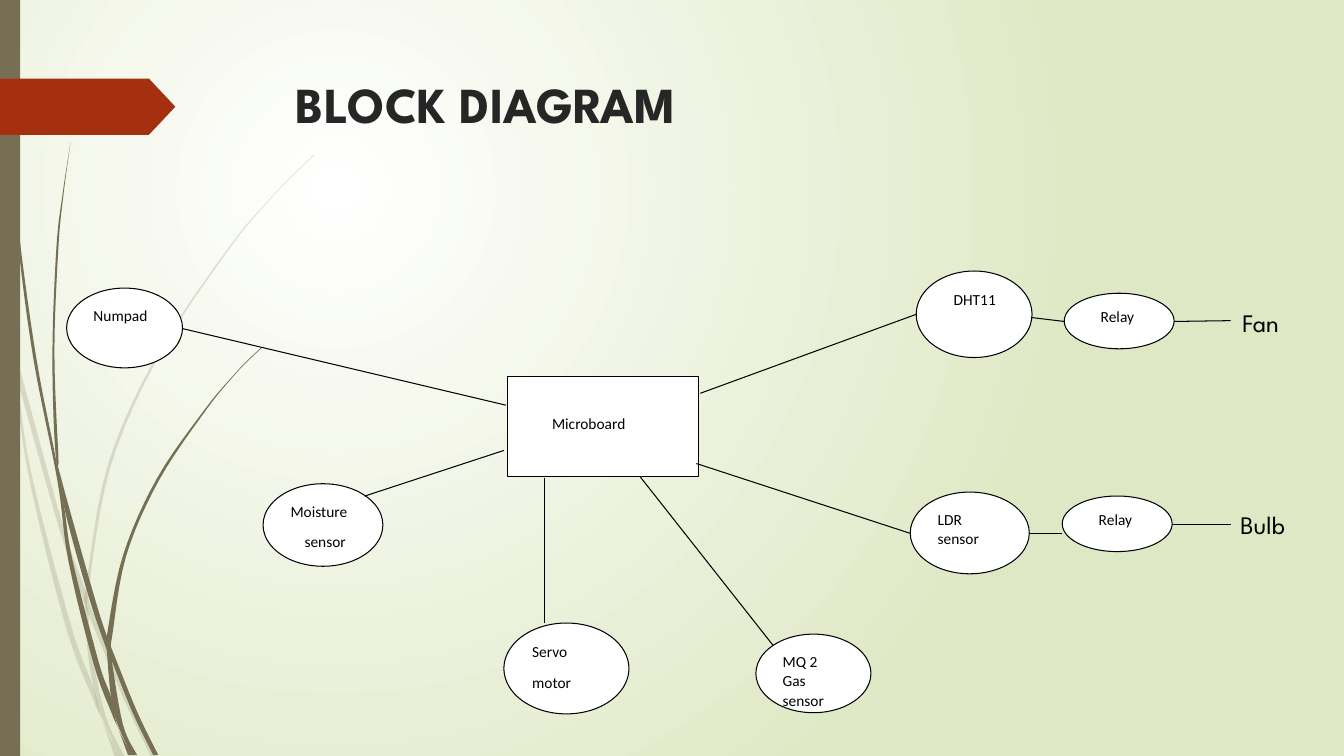
from lxml import etree
from pptx import Presentation
from pptx.dml.color import RGBColor
from pptx.enum.shapes import MSO_CONNECTOR, MSO_SHAPE
from pptx.enum.text import MSO_ANCHOR
from pptx.oxml.ns import qn
from pptx.util import Cm, Pt

RECT, OVAL, PENTAGON = MSO_SHAPE.RECTANGLE, MSO_SHAPE.OVAL, MSO_SHAPE.PENTAGON
STRAIGHT, TOP = MSO_CONNECTOR.STRAIGHT, MSO_ANCHOR.TOP

THEME = {
    "olive": "766F54", "red": "A53010", "white": "FFFFFF", "green": "DFE8C4",
    "black": "000000", "title": "262626",
    "head": "League Spartan", "body": "Calibri",
    "title_pt": 36, "label_pt": 18, "node_pt": 11, "line_pt": 0.75,
}
SLIDE = (33.87, 19.05)
TITLE = ("BLOCK DIAGRAM", (7.21, 1.73, 24.77, 3.56))

NODES = [
    (OVAL, (1.68, 7.26, 2.92, 2.01), [("Numpad", 0)]),
    (OVAL, (12.7, 15.7, 3.15, 2.29), [("Servo", 0), ("motor", 0)]),
    (OVAL, (6.63, 12.19, 3.02, 2.08), [("Moisture", 0), ("sensor", 10)]),
    (RECT, (12.78, 9.5, 4.83, 2.51), [("Microboard", 25)]),
    (OVAL, (26.77, 12.5, 2.77, 1.4), [("Relay", 7.5)]),
    (OVAL, (22.94, 12.4, 3, 2.06), [("LDR sensor", 0)]),
    (OVAL, (23.09, 6.83, 2.92, 2.18), [("DHT11", 7.5)]),
    (OVAL, (19.05, 15.98, 2.9, 1.98), [("MQ 2 Gas sensor", 0)]),
    (OVAL, (26.82, 7.39, 2.77, 1.4), [("Relay", 7.5)]),
]
LINKS = [
    (4.6, 8.28, 12.75, 10.21),
    (9.19, 12.5, 12.7, 11.35),
    (13.72, 12.04, 13.72, 15.7),
    (16.13, 12.01, 19.48, 16.26),
    (17.65, 9.91, 23.09, 7.92),
    (25.98, 8, 26.82, 8.1),
    (17.55, 11.68, 22.94, 13.44),
    (25.93, 13.44, 26.77, 13.44),
    (29.59, 8.1, 31.01, 8.08),
    (29.54, 13.21, 31.01, 13.21),
]
OUTPUTS = [
    ("Bulb", 0, (31.01, 12.7, 2.13, 1.02)),
    ("Fan", 21.6, (30.3, 7.62, 3, 1.02)),
]

WISP_UNIT = Cm(2.54) / 100
FAINT, SOLID = 20, 100
WISPS = [
    (FAINT,
     [(0, 282), (9, 322), (17, 376), (31, 469), (70, 619), (93, 683), (101, 714), (119, 751)],
     [(114, 751), (101, 714), (92, 693), (65, 621), (28, 470), (11, 350), (0, 299)]),
    (FAINT,
     [(14, 345), (62, 520), (85, 586), (92, 607), (127, 692), (155, 751)],
     [(150, 751), (123, 694), (88, 610), (84, 599), (58, 522), (17, 376)]),
    (FAINT,
     [(312, 153), (289, 175), (268, 197), (228, 244), (158, 348), (107, 461), (85, 584),
      (84, 599), (87, 646), (93, 683), (99, 707), (119, 751)],
     [(124, 751), (105, 711), (91, 646), (88, 610), (88, 584), (110, 462), (160, 349),
      (229, 245), (268, 198), (290, 175), (312, 154)]),
    (SOLID,
     [(4, 0), (5, 48), (8, 109), (19, 232), (36, 355), (55, 453), (64, 505), (72, 556),
      (98, 657), (110, 691), (117, 722), (131, 749)],
     [(127, 749), (117, 722), (111, 708), (93, 659), (68, 557), (57, 477), (33, 355),
      (17, 233), (7, 110), (4, 48), (3, 0)]),
    (SOLID,
     [(70, 141), (62, 193), (56, 245), (52, 349), (55, 449), (64, 505), (88, 592),
      (106, 645), (111, 656), (132, 708), (152, 749)],
     [(157, 749), (136, 706), (113, 649), (106, 631), (93, 590), (60, 472), (58, 453),
      (54, 349), (58, 245), (63, 193), (70, 141)]),
    (SOLID,
     [(260, 344), (245, 358), (231, 373), (204, 405), (156, 474), (122, 551), (106, 631),
      (106, 645), (110, 691), (116, 717), (130, 749)],
     [(136, 749), (122, 719), (111, 656), (110, 641), (111, 633), (125, 552), (158, 476),
      (205, 406), (231, 374), (245, 359), (261, 344)]),
]


def color(name):
    return RGBColor.from_string(THEME[name])


def write(tf, lines, size, font, ink="black", bold=False, spacing=None, after=0):
    tf.word_wrap = True
    tf.vertical_anchor = TOP
    for i, (text, indent) in enumerate(lines):
        p = tf.paragraphs[0] if i == 0 else tf.add_paragraph()
        p._p.get_or_add_pPr().set("marL", str(Pt(indent)))
        p.alignment = 1
        p.space_after = Pt(after)
        if spacing:
            p.line_spacing = spacing
        r = p.add_run()
        r.text = text
        r.font.name, r.font.size, r.font.bold = THEME[font], Pt(THEME[size]), bold
        r.font.color.rgb = color(ink)


def paint(sp, fill, outline=None):
    sp.shadow.inherit = False
    sp.fill.solid()
    sp.fill.fore_color.rgb = color(fill)
    if outline:
        sp.line.color.rgb = color(outline)
        sp.line.width = Pt(THEME["line_pt"])
    else:
        sp.line.fill.background()


def add_block(s, kind, box, fill, outline=None):
    sp = s.shapes.add_shape(kind, *map(Cm, box))
    paint(sp, fill, outline)
    return sp


def smooth(points, steps=6):
    ends = [points[0], *points, points[-1]]
    curve = [points[0]]
    for a, b, c, d in zip(ends, ends[1:], ends[2:], ends[3:]):
        for k in range(1, steps + 1):
            t = k / steps
            curve.append(tuple(
                (2 * q + (r - p) * t + (2 * p - 5 * q + 4 * r - u) * t ** 2
                 + (3 * q - p - 3 * r + u) * t ** 3) / 2
                for p, q, r, u in zip(a, b, c, d)))
    return curve


def add_wisp(s, opacity, down, up):
    outline = [(x * WISP_UNIT, y * WISP_UNIT) for x, y in smooth(down) + smooth(up)]
    builder = s.shapes.build_freeform(*outline[0], scale=1.0)
    builder.add_line_segments(outline[1:], close=True)
    sp = builder.convert_to_shape()
    paint(sp, "olive")
    if opacity < 100:
        clr = sp._element.spPr.find(".//" + qn("a:srgbClr"))
        etree.SubElement(clr, qn("a:alpha")).set("val", str(opacity * 1000))


def set_background(s):
    fill = s.background.fill
    fill.gradient()
    for stop, name, pos in zip(fill.gradient_stops, ("white", "green"), (0, 1)):
        stop.color.rgb = color(name)
        stop.position = pos
    grad = s.element.find(".//" + qn("a:gradFill"))
    lin = grad.find(qn("a:lin"))
    radial = etree.Element(qn("a:path"), {"path": "circle"})
    etree.SubElement(radial, qn("a:fillToRect"),
                     {"l": "50000", "t": "50000", "r": "100000", "b": "100000"})
    grad.replace(lin, radial)


def main():
    prs = Presentation()
    prs.slide_width, prs.slide_height = map(Cm, SLIDE)
    s = prs.slides.add_slide(prs.slide_layouts[6])
    set_background(s)

    for wisp in WISPS:
        add_wisp(s, *wisp)
    add_block(s, RECT, (0, 0, 0.51, SLIDE[1]), "olive")
    tag = add_block(s, PENTAGON, (0, 1.98, 4.42, 1.42), "red")
    tag.adjustments[0] = 0.47

    text, box = TITLE
    title = s.shapes.add_textbox(*map(Cm, box))
    write(title.text_frame, [(text, 0)], "title_pt", "head", ink="title", bold=True)

    for kind, box, lines in NODES:
        sp = add_block(s, kind, box, "white", "black")
        if kind == RECT:
            sp.text_frame.margin_top = Cm(0.91)
        write(sp.text_frame, lines, "node_pt", "body", spacing=1.06, after=8)

    for link in LINKS:
        cn = s.shapes.add_connector(STRAIGHT, *map(Cm, link))
        cn.line.color.rgb = color("black")
        cn.line.width = Pt(THEME["line_pt"])
        etree.SubElement(cn._element.spPr, qn("a:effectLst"))

    for text, indent, box in OUTPUTS:
        label = s.shapes.add_textbox(*map(Cm, box))
        write(label.text_frame, [(text, indent)], "label_pt", "head")

    prs.save("out.pptx")


if __name__ == "__main__":
    main()
